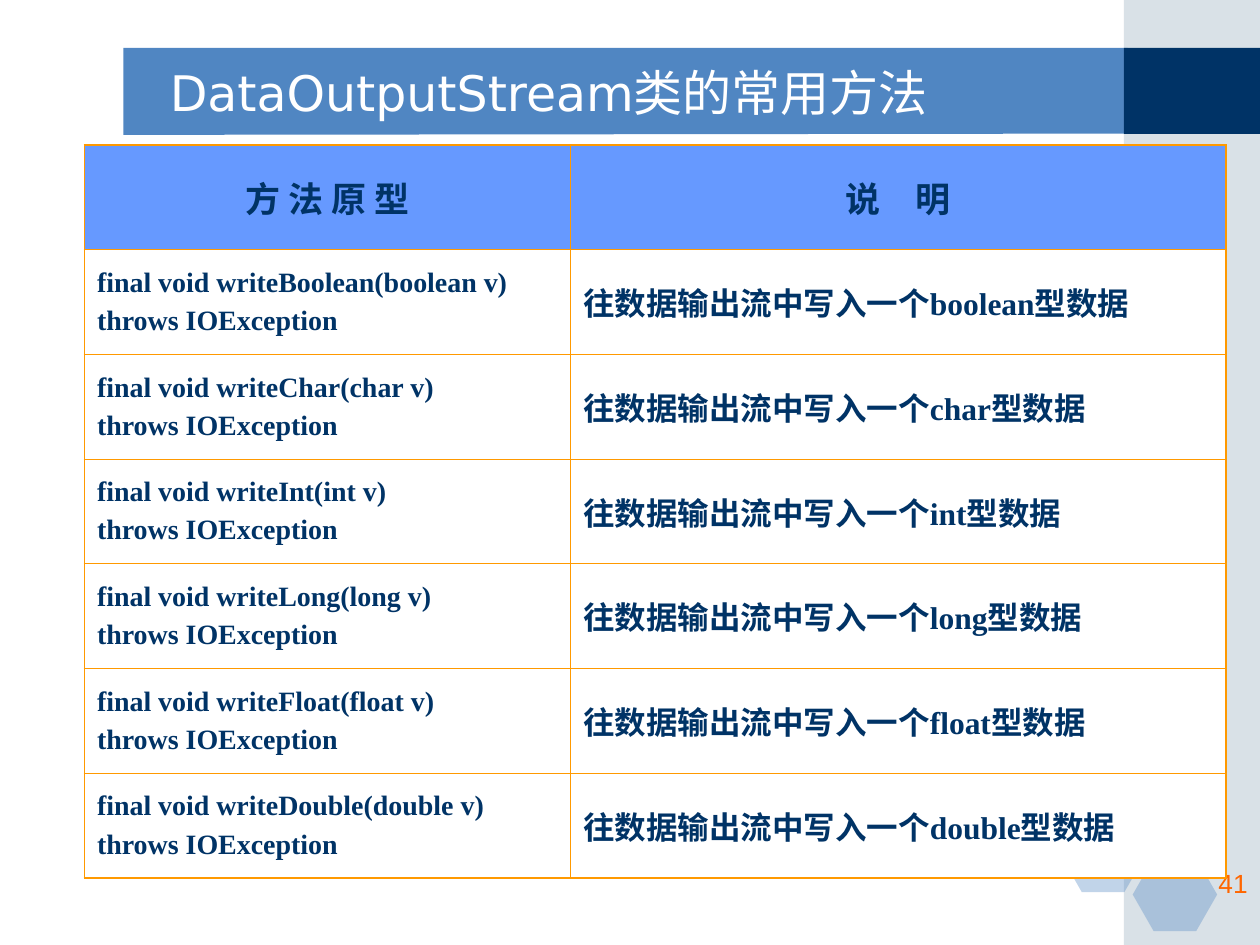
from lxml import etree
from pptx import Presentation
from pptx.dml.color import RGBColor
from pptx.enum.shapes import MSO_SHAPE
from pptx.enum.text import MSO_ANCHOR, PP_ALIGN
from pptx.oxml.ns import qn
from pptx.util import Inches, Pt

RECT, HEX = MSO_SHAPE.RECTANGLE, MSO_SHAPE.HEXAGON
TOP, MID = MSO_ANCHOR.TOP, MSO_ANCHOR.MIDDLE
LEFT, MIDST, RIGHT = PP_ALIGN.LEFT, PP_ALIGN.CENTER, PP_ALIGN.RIGHT
WIDE, HIGH = Inches(10), Inches(7.5)
BLUE, NAVY, GREY, SKY = "5086C2", "003366", "A0B5C4", "6699FF"
GOLD, RUST, WHITE = "FF9900", "FF6600", "FFFFFF"
THIN, THICK = 0.45, 1.08
TYPES = ["boolean", "char", "int", "long", "float", "double"]


def area(x, y, w, h):
    """Turn percent shares of the slide into lengths."""
    return [round(part * full / 100)
            for part, full in zip((x, y, w, h), (WIDE, HIGH) * 2)]


def paint(fill, hue, alpha=None):
    fill.solid()
    fill.fore_color.rgb = RGBColor.from_string(hue)
    if alpha:
        tone = fill._xPr.find(".//" + qn("a:srgbClr"))
        etree.SubElement(tone, qn("a:alpha"), val=str(alpha * 1000))


def finish(shape, hue, alpha=None):
    shape.shadow.inherit = False
    shape.line.fill.background()
    paint(shape.fill, hue, alpha)


def block(slide, kind, place, hue, alpha=None):
    shape = slide.shapes.add_shape(kind, *area(*place))
    finish(shape, hue, alpha)
    return shape


def band(slide):
    x, y, w, h = area(9.8, 5.07, 79.7, 9.2)
    edge = slide.shapes.build_freeform(x, y)
    edge.add_line_segments([(x + w, y), (x + w, y + h - Inches(0.01)),
                            (x, y + h)])
    finish(edge.convert_to_shape(), BLUE)


def write(frame, text, size, font, hue, bold=False, align=LEFT, gap=0):
    frame.word_wrap = True
    frame.text = text
    for i, para in enumerate(frame.paragraphs):
        para.alignment = align
        para.space_before = Pt(gap if i else 0)
        for run in para.runs:
            run.font.size, run.font.name = Pt(size), font
            run.font.bold = bold
            run.font.color.rgb = RGBColor.from_string(hue)


def label(slide, place, text, anchor=TOP, **form):
    frame = slide.shapes.add_textbox(*area(*place)).text_frame
    frame.vertical_anchor = anchor
    write(frame, text, **form)


def rule(cell, sides):
    """Draw cell borders; sides maps L, R, T, B in that order to widths."""
    props = cell._tc.get_or_add_tcPr()
    for i, (side, width) in enumerate(sides.items()):
        line = etree.Element(qn("a:ln" + side), w=str(Pt(width)))
        fill = etree.SubElement(line, qn("a:solidFill"))
        etree.SubElement(fill, qn("a:srgbClr"), val=GOLD)
        props.insert(i, line)


def grid(slide, place, rows, shares):
    last, end = len(rows) - 1, len(shares) - 1
    spot = area(*place)
    table = slide.shapes.add_table(len(rows), len(shares), *spot).table
    for col, share in zip(table.columns, shares):
        col.width = round(spot[2] * share)
    for r, row in enumerate(rows):
        table.rows[r].height = spot[3] // len(rows)
        for c, text in enumerate(row):
            cell = table.cell(r, c)
            cell.vertical_anchor = MID
            paint(cell.fill, WHITE if r else SKY)
            rule(cell, {"L": THIN if c else THICK,
                        "R": THICK if c == end else THIN,
                        "T": THIN if r else THICK,
                        "B": THICK if r == last else THIN})
            size = (18 if c else 16) if r else 20
            write(cell.text_frame, text, size, "Times New Roman", NAVY,
                  bold=True, align=LEFT if r else MIDST, gap=4)


def main():
    deck = Presentation()
    deck.slide_width, deck.slide_height = WIDE, HIGH
    slide = deck.slides.add_slide(deck.slide_layouts[6])

    band(slide)
    block(slide, RECT, (89.2, 0, 10.8, 100), GREY, 40)
    block(slide, RECT, (89.2, 5.07, 10.8, 9.1), NAVY)
    for x, y in [(84.2, 86.67), (90, 82.27), (89.9, 90.8)]:
        cell = block(slide, HEX, (x, y, 6.7, 7.73), BLUE, 35)
        cell.adjustments[0] = 0.286

    label(slide, (12.5, 5.6, 73.3, 8.27), "DataOutputStream类的常用方法",
          anchor=MID, size=28, font="DejaVu Sans", hue=WHITE)
    label(slide, (79.2, 91.07, 20.8, 6.67), "41",
          size=15, font="Arial", hue=RUST, align=RIGHT)

    rows = [("方 法 原 型", "说　明")]
    for name in TYPES:
        call = f"final void write{name.title()}({name} v)"
        rows.append((call + "\nthrows IOException",
                     f"往数据输出流中写入一个{name}型数据"))
    grid(slide, (6.7, 15.33, 90.6, 77.6), rows, (0.426, 0.574))
    deck.save("out.pptx")


if __name__ == "__main__":
    main()
